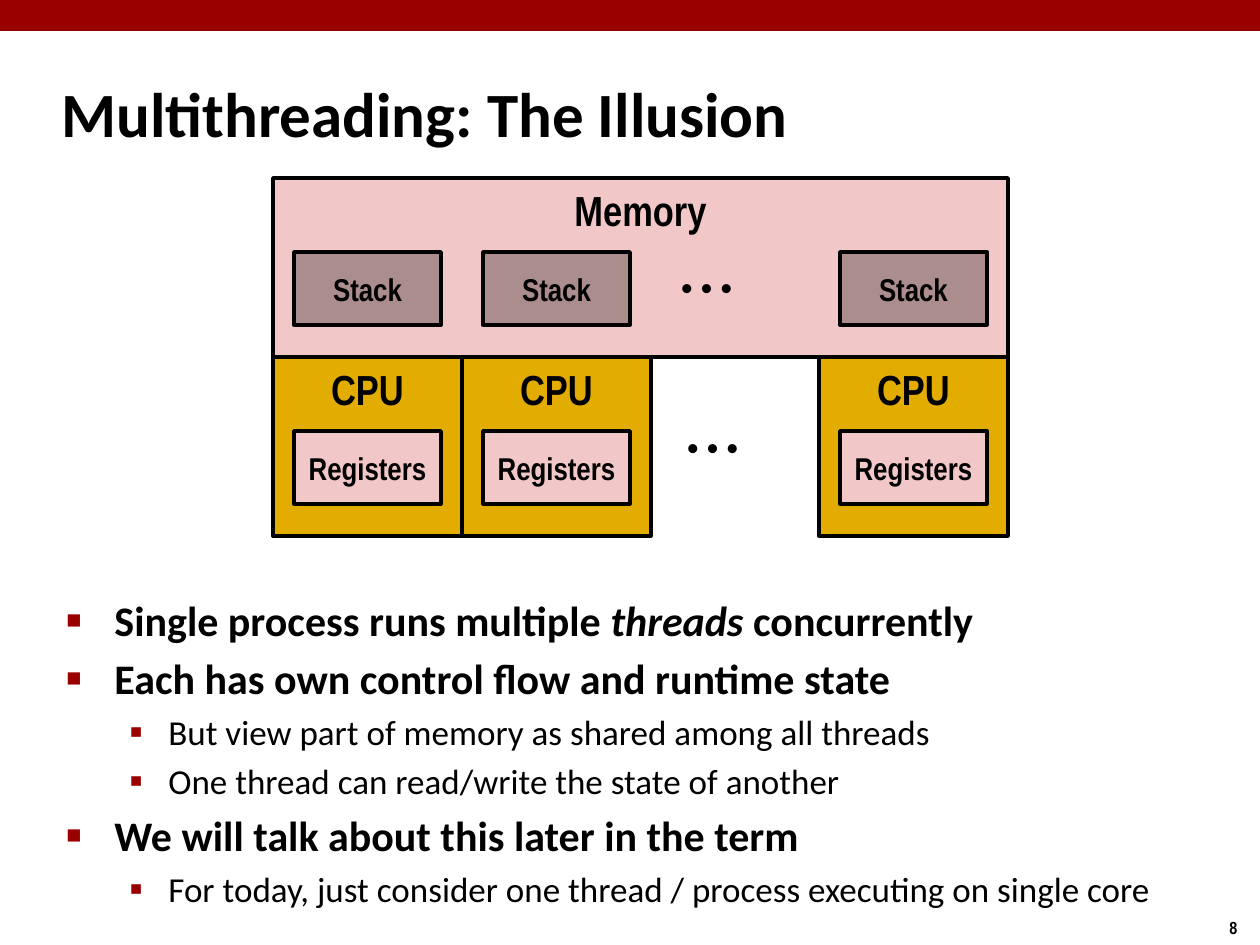
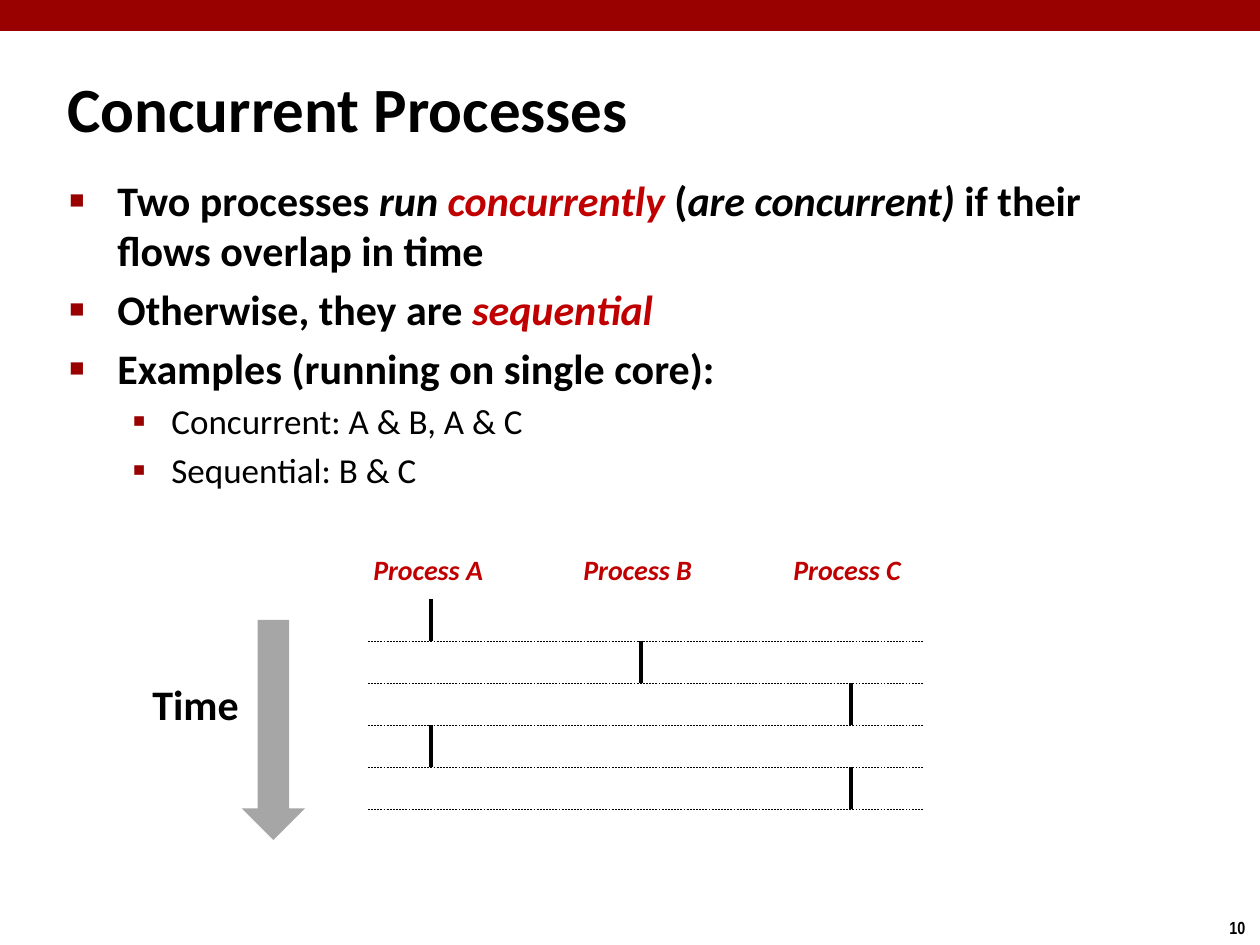
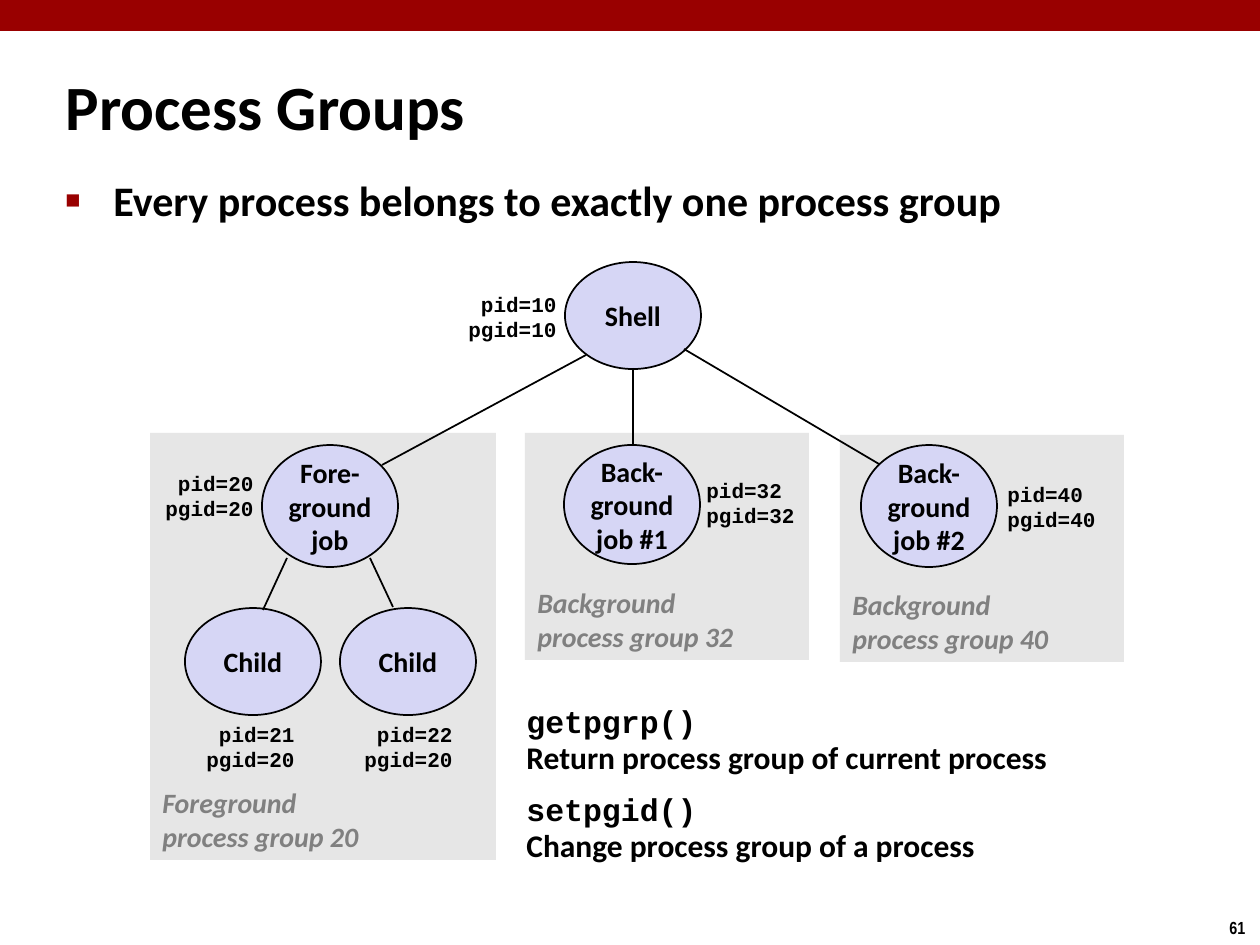
"""Build three lecture slides about threads, concurrent processes and process groups."""

from dataclasses import dataclass, replace
from typing import NamedTuple

from lxml.etree import SubElement
from pptx import Presentation
from pptx.dml.color import RGBColor
from pptx.enum.dml import MSO_LINE
from pptx.enum.shapes import MSO_CONNECTOR, MSO_SHAPE
from pptx.enum.text import MSO_ANCHOR as Anchor, MSO_AUTO_SIZE as AutoSize, PP_ALIGN as Align
from pptx.oxml.ns import qn
from pptx.util import Emu, Pt

PIXEL = 914400 / 126
PAGE_WIDTH, PAGE_HEIGHT = 1260, 945
TITLE_ONLY = 5

BLACK = RGBColor(0x00, 0x00, 0x00)
CRIMSON = RGBColor(0x99, 0x00, 0x00)
RED = RGBColor(0xC0, 0x00, 0x00)
PINK = RGBColor(0xF1, 0xC7, 0xC7)
MAUVE = RGBColor(0xAB, 0x8D, 0x8D)
GOLD = RGBColor(0xE2, 0xAC, 0x00)
ARROW_GRAY = RGBColor(0xA6, 0xA6, 0xA6)
PANEL_GRAY = RGBColor(0xE6, 0xE6, 0xE6)
CAPTION_GRAY = RGBColor(0x80, 0x80, 0x80)
LILAC = RGBColor(0xD6, 0xD6, 0xF5)


@dataclass(frozen=True)
class Style:
    """Character formatting."""
    size: int
    font: str = "Calibri"
    color: RGBColor = BLACK
    bold: bool = True
    italic: bool = False


class Box(NamedTuple):
    """Left, top, width and height in pixels."""
    x: int
    y: int
    width: int
    height: int


class Span(NamedTuple):
    """Emphasised piece of a bullet."""
    text: str
    color: RGBColor = BLACK


class Bullet(NamedTuple):
    """Bullet with plain strings and emphasised spans."""
    level: int
    spans: tuple


class BulletLook(NamedTuple):
    """Marker and indents of one bullet level."""
    char: str
    percent: int
    margin: int
    hanging: int
    style: Style


class Node(NamedTuple):
    """Process bubble with its id label."""
    lines: tuple
    box: Box
    pid: int
    pgid: int
    tag_x: int
    tag_y: int
    tag_align: Align = Align.RIGHT


class Panel(NamedTuple):
    """Shaded process group."""
    box: Box
    kind: str
    group: int


TITLE = Style(36)
NUMBER = Style(10, "Arial Narrow")
BLOCK = Style(24, "Arial Narrow")
INNER = Style(18, "Arial Narrow")
DOTS = Style(18, "Arial")
TIME = Style(24)
PROCESS = Style(16, color=RED, italic=True)
NODE = Style(16)
TAG = Style(12, "Courier New")
CAPTION = Style(16, color=CAPTION_GRAY, italic=True)
CODE = Style(18, "Courier New")
MEANING = Style(18)
LOOKS = (
    BulletLook("■", 60, 48, 48, Style(24)),
    BulletLook("▪", 110, 102, 39, Style(20, bold=False)),
)


def emu(pixels: float) -> Emu:
    """Turn picture pixels into EMU."""
    return Emu(round(pixels * PIXEL))


def place(box: Box) -> tuple:
    """Return the box in EMU."""
    return tuple(emu(value) for value in box)


def set_font(font, style: Style) -> None:
    """Apply a style to a font."""
    font.name, font.size = style.font, Pt(style.size)
    font.bold, font.italic = style.bold, style.italic
    font.color.rgb = style.color


def write(frame, lines: tuple, style: Style, align: Align = Align.LEFT) -> None:
    """Fill a frame with one uniformly styled paragraph per line."""
    frame.text = "\n".join(lines)
    for para in frame.paragraphs:
        para.alignment = align
        for owner in (para, *para.runs):
            set_font(owner.font, style)


def add_text(page, box: Box, lines: tuple, style: Style,
             align: Align = Align.LEFT, anchor: Anchor = Anchor.TOP) -> None:
    """Add a label that does not wrap."""
    frame = page.shapes.add_textbox(*place(box)).text_frame
    frame.word_wrap, frame.vertical_anchor = False, anchor
    frame.auto_size = AutoSize.SHAPE_TO_FIT_TEXT
    write(frame, lines, style, align)


def add_block(page, box: Box, fill: RGBColor, kind: MSO_SHAPE = MSO_SHAPE.RECTANGLE,
              line: float = 0, lines: tuple = (), style: Style = NODE,
              anchor: Anchor = Anchor.MIDDLE) -> None:
    """Add a filled shape, outlined and labelled on request."""
    shape = page.shapes.add_shape(kind, *place(box))
    shape.shadow.inherit = False
    shape.fill.solid()
    shape.fill.fore_color.rgb = fill
    if line:
        shape.line.color.rgb, shape.line.width = BLACK, Pt(line)
    else:
        shape.line.fill.background()
    if lines:
        frame = shape.text_frame
        frame.vertical_anchor = anchor
        frame.word_wrap = kind == MSO_SHAPE.RECTANGLE
        write(frame, lines, style, Align.CENTER)


def add_line(page, start: tuple, end: tuple, width: float, dashed: bool = False) -> None:
    """Add a straight black line."""
    points = (emu(value) for value in (*start, *end))
    line = page.shapes.add_connector(MSO_CONNECTOR.STRAIGHT, *points)
    line.line.color.rgb, line.line.width = BLACK, Pt(width)
    if dashed:
        line.line.dash_style = MSO_LINE.DASH
    SubElement(line.element.spPr, qn("a:effectLst"))


def set_bullet(para, look: BulletLook) -> None:
    """Give a paragraph its marker and hanging indent."""
    props = para._p.get_or_add_pPr()
    props.set("marL", str(emu(look.margin)))
    props.set("indent", str(-emu(look.hanging)))
    color = SubElement(props, qn("a:buClr"))
    SubElement(color, qn("a:srgbClr"), val=str(CRIMSON))
    SubElement(props, qn("a:buSzPct"), val=str(look.percent * 1000))
    SubElement(props, qn("a:buFont"), typeface="Arial")
    SubElement(props, qn("a:buChar"), char=look.char)


def add_bullets(page, box: Box, bullets: tuple) -> None:
    """Add the bulleted body text."""
    frame = page.shapes.add_textbox(*place(box)).text_frame
    frame.word_wrap = True
    for index, bullet in enumerate(bullets):
        para = frame.paragraphs[0] if index == 0 else frame.add_paragraph()
        look = LOOKS[bullet.level]
        para.level = bullet.level
        para.space_before = Pt(look.style.size * 0.2)
        set_bullet(para, look)
        set_font(para.font, look.style)
        for span in bullet.spans:
            run = para.add_run()
            if isinstance(span, Span):
                run.text = span.text
                set_font(run.font, replace(look.style, italic=True, color=span.color))
            else:
                run.text = span
                set_font(run.font, look.style)


def add_page(deck, title: str, title_box: Box, number: int):
    """Add a slide with the top band, title and page number."""
    page = deck.slides.add_slide(deck.slide_layouts[TITLE_ONLY])
    add_block(page, Box(0, 0, PAGE_WIDTH, 31), CRIMSON)
    add_text(page, Box(1217, 911, 43, 34), (str(number),), NUMBER)
    heading = page.shapes.title
    heading.left, heading.top, heading.width, heading.height = place(title_box)
    frame = heading.text_frame
    frame.auto_size, frame.vertical_anchor = AutoSize.NONE, Anchor.MIDDLE
    write(frame, (title,), TITLE)
    return page


def build_multithreading(deck) -> None:
    """Draw shared memory above a row of CPUs."""
    page = add_page(deck, "Multithreading: The Illusion", Box(49, 60, 1046, 105), 8)
    add_bullets(page, Box(54, 588, 1153, 285), (
        Bullet(0, ("Single process runs multiple ", Span("threads"), " concurrently")),
        Bullet(0, ("Each has own control flow and runtime state",)),
        Bullet(1, ("But view part of memory as shared among all threads",)),
        Bullet(1, ("One thread can read/write the state of another",)),
        Bullet(0, ("We will talk about this later in the term",)),
        Bullet(1, ("For today, just consider one thread / process executing on single core",)),
    ))
    memory_top, cpu_top, height = 178, 357, 179
    add_block(page, Box(273, memory_top, 735, height), PINK, line=2,
              lines=("Memory",), style=BLOCK, anchor=Anchor.TOP)
    for left in (273, 462, 819):
        add_block(page, Box(left, cpu_top, 189, height), GOLD, line=2,
                  lines=("CPU",), style=BLOCK, anchor=Anchor.TOP)
        for top, fill, label in ((cpu_top, PINK, "Registers"), (memory_top, MAUVE, "Stack")):
            add_block(page, Box(left + 21, top + 74, 147, 73), fill, line=2,
                      lines=(label,), style=INNER)
    for left, top in ((669, 262), (675, 422)):
        add_text(page, Box(left, top, 132, 50), ("• • •",), DOTS)


def build_concurrency(deck) -> None:
    """Draw three processes taking turns over time."""
    page = add_page(deck, "Concurrent Processes", Box(55, 68, 837, 79), 10)
    add_bullets(page, Box(57, 168, 1089, 357), (
        Bullet(0, ("Two processes ", Span("run "), Span("concurrently", RED), " (",
                   Span("are concurrent)"), " if their flows overlap in time")),
        Bullet(0, ("Otherwise, they are ", Span("sequential", RED))),
        Bullet(0, ("Examples (running on single core):",)),
        Bullet(1, ("Concurrent: A & B, A & C",)),
        Bullet(1, ("Sequential: B & C",)),
    ))
    lanes = {name: 431 + 210 * index for index, name in enumerate("ABC")}
    for name, x in lanes.items():
        add_text(page, Box(x - 70, 546, 137, 47), (f"Process {name}",), PROCESS)
    step = 42
    for index, name in enumerate("ABCAC"):
        top = 599 + step * index
        add_line(page, (lanes[name], top), (lanes[name], top + step), 2)
        add_line(page, (368, top + step), (924, top + step), 0.25, dashed=True)
    add_text(page, Box(140, 672, 112, 63), ("Time",), TIME)
    add_block(page, Box(242, 620, 63, 220), ARROW_GRAY, MSO_SHAPE.DOWN_ARROW)


def build_groups(deck) -> None:
    """Draw the process tree with its groups."""
    page = add_page(deck, "Process Groups", Box(53, 53, 1046, 105), 61)
    add_bullets(page, Box(53, 168, 1063, 84), (
        Bullet(0, ("Every process belongs to exactly one process group",)),
    ))
    panels = (
        Panel(Box(840, 435, 284, 227), "Background", 40),
        Panel(Box(525, 433, 284, 227), "Background", 32),
        Panel(Box(150, 433, 346, 427), "Foreground", 20),
    )
    for panel in panels:
        box = panel.box
        add_block(page, box, PANEL_GRAY)
        add_text(page, Box(box.x, box.y + box.height - 81, 224, 81),
                 (panel.kind, f"process group {panel.group}"), CAPTION, anchor=Anchor.MIDDLE)
    nodes = (
        Node(("Shell",), Box(565, 262, 136, 107), 10, 10, 455, 285),
        Node(("Fore-", "ground", "job"), Box(262, 445, 136, 122), 20, 20, 152, 464),
        Node(("Back-", "ground", "job #1"), Box(564, 445, 136, 119), 32, 32, 694, 471, Align.LEFT),
        Node(("Back-", "ground", "job #2"), Box(861, 445, 136, 122), 40, 40, 995, 475, Align.LEFT),
        Node(("Child",), Box(185, 608, 136, 107), 21, 20, 193, 715),
        Node(("Child",), Box(340, 608, 136, 107), 22, 20, 351, 715),
    )
    for node in nodes:
        add_block(page, node.box, LILAC, MSO_SHAPE.OVAL, 1, node.lines)
        add_text(page, Box(node.tag_x, node.tag_y, 114, 64),
                 (f"pid={node.pid}", f"pgid={node.pgid}"), TAG, node.tag_align, Anchor.MIDDLE)
    links = (
        ((287, 558), (263, 610)),
        ((370, 558), (393, 607)),
        ((633, 368), (633, 445)),
        ((586, 355), (382, 465)),
        ((684, 349), (879, 464)),
    )
    for start, end in links:
        add_line(page, start, end, 1)
    frame = page.shapes.add_textbox(*place(Box(514, 699, 567, 189))).text_frame
    frame.word_wrap = True
    calls = (
        ("getpgrp()", "Return process group of current process"),
        ("setpgid()", "Change process group of a process"),
    )
    for index, (call, meaning) in enumerate(calls):
        para = frame.paragraphs[0] if index == 0 else frame.add_paragraph()
        para.line_spacing, para.space_before = 0.95, Pt(9)
        for text, style in ((call, CODE), (meaning, MEANING)):
            if style is MEANING:
                para.add_line_break()
            run = para.add_run()
            run.text = text
            set_font(run.font, style)


def main() -> None:
    """Build and save the deck."""
    deck = Presentation()
    deck.slide_width, deck.slide_height = emu(PAGE_WIDTH), emu(PAGE_HEIGHT)
    build_multithreading(deck)
    build_concurrency(deck)
    build_groups(deck)
    deck.save("out.pptx")


main()
